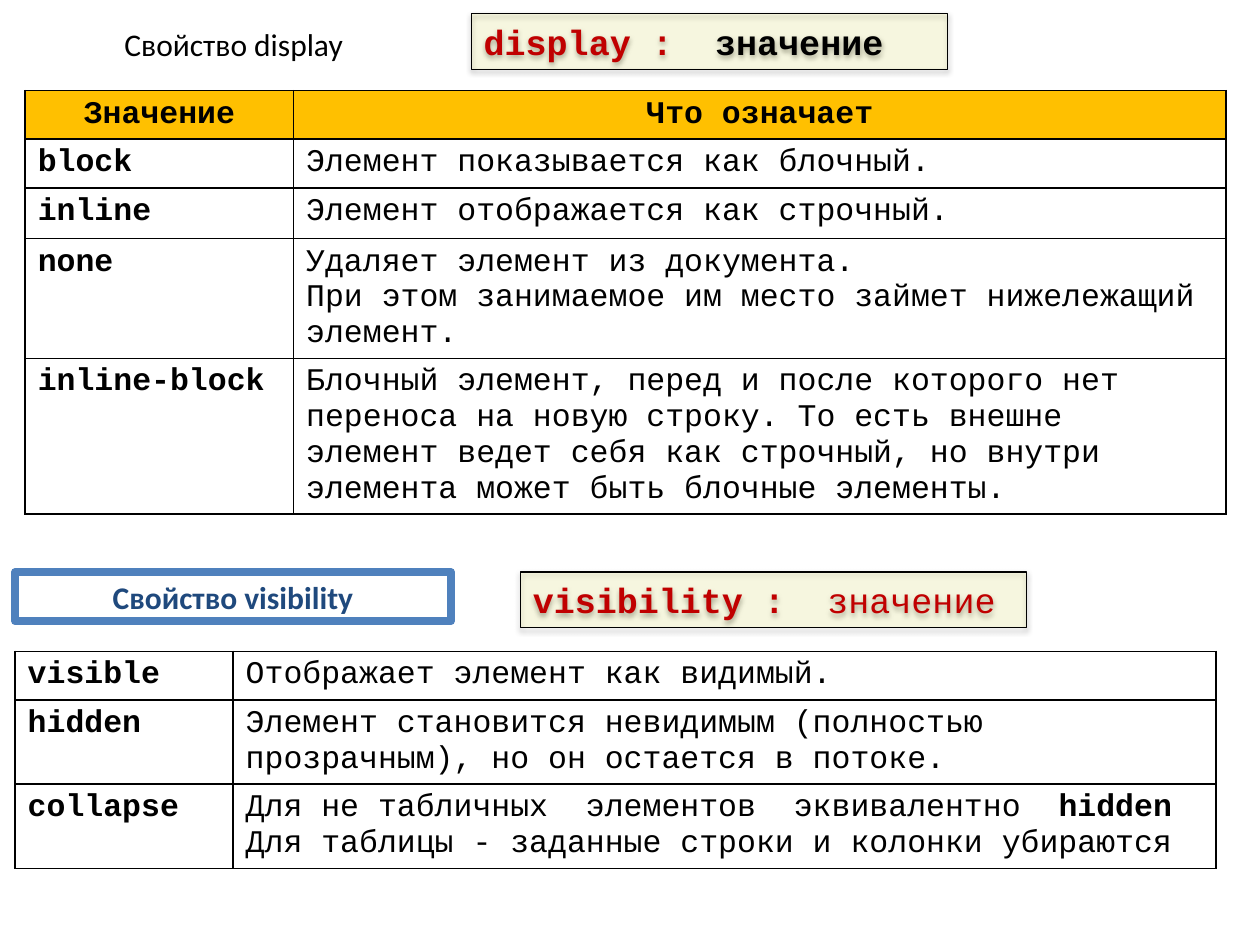
from lxml import etree
from pptx import Presentation
from pptx.dml.color import RGBColor
from pptx.enum import shapes, text
from pptx.oxml import parse_xml
from pptx.oxml.ns import qn
from pptx.util import Inches, Pt

HUES = {"ink": "000000", "red": "C00000", "gold": "FFC000", "glow": "FFFF00",
        "blue": "4F81BD", "navy": "1F497D", "white": "FFFFFF"}
MONO, SANS = "Courier New", "Calibri"
NS = 'xmlns:a="http://schemas.openxmlformats.org/drawingml/2006/main"'
MID = text.PP_ALIGN.CENTER

TITLE = "Свойство display"
LABEL = "Свойство visibility"
RULES = [
    ((3.74, 0.11, 3.78, 0.44),
     [("display :  ", True, "red"), ("значение", True, "ink")]),
    ((4.13, 4.54, 4.02, 0.44),
     [("visibility :  ", True, "red"), ("значение", False, "red")]),
]
TABLES = [
    {"at": (0.2, 0.72), "cols": (2.13, 7.4), "rows": (0.38, 0.39, 0.4, 0.95, 1.23),
     "head": ("Значение", "Что означает"),
     "body": [
         ("block", [[("Элемент показывается как блочный.", False)]]),
         ("inline", [[("Элемент отображается как строчный.", False)]]),
         ("none", [[("Удаляет элемент из документа.", False)],
                   [("При этом занимаемое им место займет нижележащий элемент.", False)]]),
         ("inline-block", [[("Блочный элемент, перед и после которого нет переноса на новую "
                             "строку. То есть внешне элемент ведет себя как строчный, но внутри "
                             "элемента может быть блочные элементы.", False)]]),
     ]},
    {"at": (0.12, 5.17), "cols": (1.73, 7.8), "rows": (0.38, 0.67, 0.67),
     "head": None,
     "body": [
         ("visible", [[("Отображает элемент как видимый.", False)]]),
         ("hidden", [[("Элемент становится невидимым (полностью прозрачным), "
                       "но он остается в потоке.", False)]]),
         ("collapse", [[("Для не табличных  элементов  эквивалентно  ", False), ("hidden", True)],
                       [("Для таблицы - заданные строки и колонки убираются", False)]]),
     ]},
]


def tint(name):
    return RGBColor.from_string(HUES[name])


def write(para, words, size, face, bold, hue):
    run = para.add_run()
    run.text = words
    run.font.size, run.font.name, run.font.bold = Pt(size), face, bold
    run.font.color.rgb = tint(hue)


def place(item, box):
    item.left, item.top, item.width, item.height = map(Inches, box)


def add_box(slide, box, fill, line, width):
    rect = slide.shapes.add_shape(shapes.MSO_SHAPE.RECTANGLE, *map(Inches, box))
    rect.shadow.inherit = False
    rect.fill.solid()
    rect.fill.fore_color.rgb = tint(fill)
    rect.line.color.rgb = tint(line)
    rect.line.width = Pt(width)
    rect.text_frame.word_wrap = True
    return rect


def add_rule(slide, box, parts):
    rect = add_box(slide, box, "glow", "ink", 0.75)
    props = rect.element.spPr
    color = props.find(qn("a:solidFill"))[0]
    etree.SubElement(color, qn("a:alpha"), val="9000")
    props.find(qn("a:effectLst")).append(parse_xml(
        f'<a:outerShdw {NS} blurRad="{Pt(3.1)}" dist="{Pt(1.6)}" dir="5400000" '
        f'rotWithShape="0"><a:srgbClr val="{HUES["ink"]}"><a:alpha val="38000"/>'
        '</a:srgbClr></a:outerShdw>'))
    rect.text_frame.vertical_anchor = text.MSO_ANCHOR.TOP
    para = rect.text_frame.paragraphs[0]
    para.alignment = text.PP_ALIGN.LEFT
    for words, bold, hue in parts:
        write(para, words, 20, MONO, bold, hue)


def fill_cell(cell, paras, head):
    if head:
        cell.fill.solid()
        cell.fill.fore_color.rgb = tint("gold")
    else:
        cell.fill.background()
    props = cell._tc.get_or_add_tcPr()
    for spot, side in enumerate("LRTB"):
        props.insert(spot, parse_xml(
            f'<a:ln{side} {NS} w="{Pt(1)}"><a:solidFill><a:srgbClr val="{HUES["ink"]}"/>'
            f'</a:solidFill></a:ln{side}>'))
    frame = cell.text_frame
    for n, runs in enumerate(paras):
        para = frame.add_paragraph() if n else frame.paragraphs[0]
        para.alignment = MID if head else text.PP_ALIGN.LEFT
        for words, bold in runs:
            write(para, words, 18, MONO, bold, "ink")


def add_grid(slide, data):
    cols, rows = data["cols"], data["rows"]
    box = (*data["at"], sum(cols), sum(rows))
    grid = slide.shapes.add_table(len(rows), len(cols), *map(Inches, box)).table
    grid.first_row = grid.horz_banding = False
    for col, width in zip(grid.columns, cols):
        col.width = Inches(width)
    for row, height in zip(grid.rows, rows):
        row.height = Inches(height)
    lines = [([[(key, True)]], paras) for key, paras in data["body"]]
    if data["head"]:
        lines.insert(0, [[[(name, True)]] for name in data["head"]])
    for r, line in enumerate(lines):
        for c, paras in enumerate(line):
            fill_cell(grid.cell(r, c), paras, bool(data["head"]) and r == 0)


def main():
    """Build the slide on the CSS display and visibility properties."""
    deck = Presentation()
    deck.slide_width, deck.slide_height = Inches(10), Inches(7.5)
    slide = deck.slides.add_slide(deck.slide_layouts[5])
    title = slide.shapes.title
    place(title, (0.2, 0.13, 3.31, 0.44))
    title.text_frame.vertical_anchor = text.MSO_ANCHOR.MIDDLE
    para = title.text_frame.paragraphs[0]
    para.alignment = MID
    write(para, TITLE, 18, SANS, False, "ink")

    label = add_box(slide, (0.12, 4.54, 3.46, 0.39), "white", "blue", 4.33)
    label.text_frame.vertical_anchor = text.MSO_ANCHOR.MIDDLE
    para = label.text_frame.paragraphs[0]
    para.alignment = MID
    write(para, LABEL, 18, SANS, True, "navy")

    for box, parts in RULES:
        add_rule(slide, box, parts)
    for data in TABLES:
        add_grid(slide, data)
    deck.save("out.pptx")


if __name__ == "__main__":
    main()
